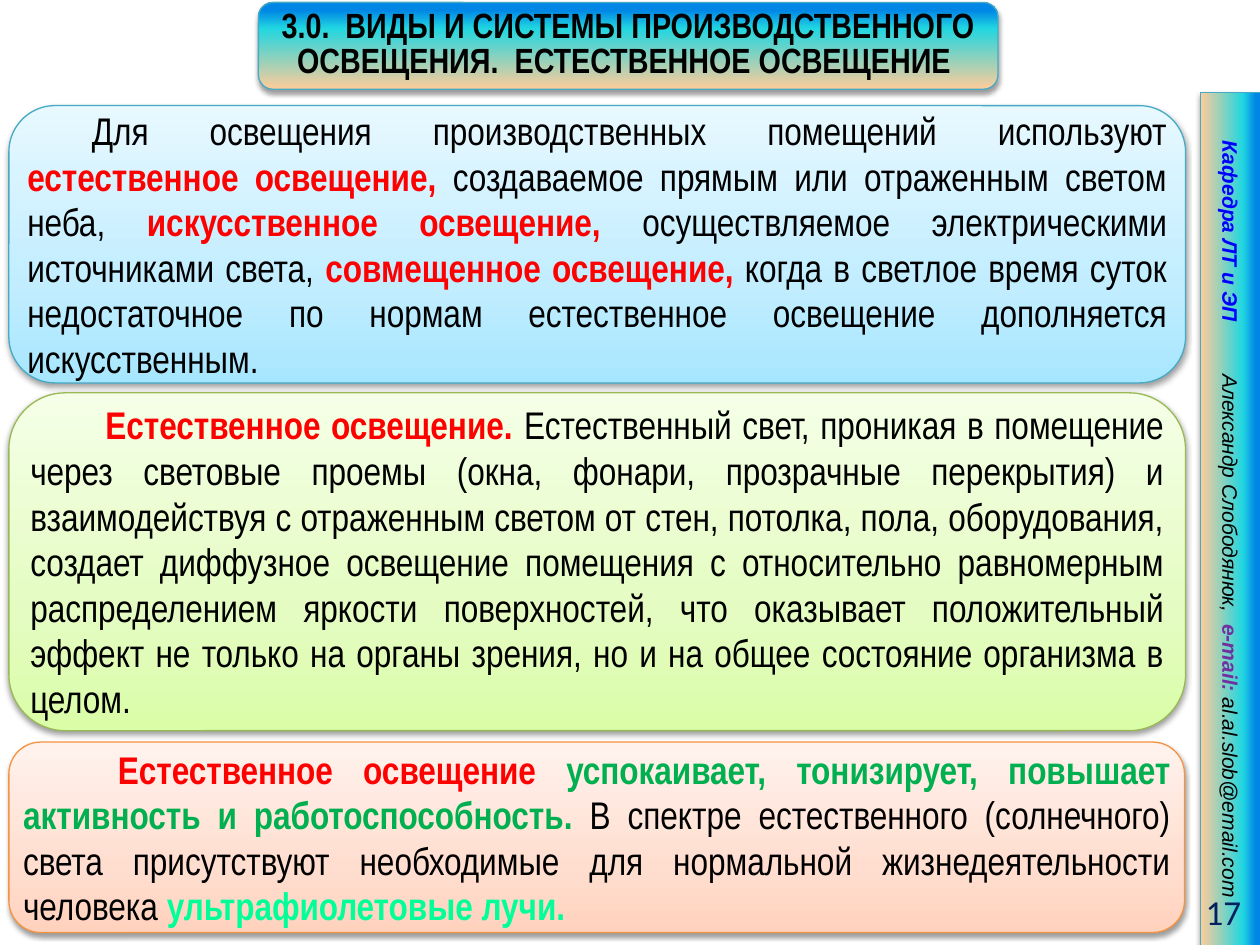
from lxml.etree import SubElement
from pptx import Presentation
from pptx.dml.color import RGBColor
from pptx.enum.shapes import MSO_SHAPE
from pptx.enum.text import MSO_ANCHOR, PP_ALIGN
from pptx.oxml.ns import qn
from pptx.util import Cm, Pt

COLORS = {
    "black": "000000", "red": "FF0000", "green": "00B050", "mint": "00FF99",
    "blue": "0000FF", "purple": "7030A0", "navy": "002060",
    "teal line": "46AAC5", "green line": "98B955", "orange line": "F69240",
}
# Gradient stops run from the bottom edge to the top edge.
GRADIENTS = {
    "banner": [(0, "FFCC99"), (70, "21D6E0"), (91, "0087E6")],
    "sky": [(0, "A7E6FF"), (35, "C1EDFF"), (100, "E7F8FF")],
    "lime": [(0, "DAFDA7"), (35, "E4FCC2"), (100, "F5FFE7")],
    "peach": [(0, "FFD2BD"), (35, "FFDED0"), (100, "FFF2ED")],
}
TITLE = {"name": "Arial Narrow", "size": Pt(20), "bold": True}
BODY = {"name": "Arial Narrow", "size": Pt(22), "bold": False}
STRONG = {**BODY, "bold": True}
SIDE = {"name": "Arial", "size": Pt(12), "italic": True, "bold": False}
SIDE_STRONG = {**SIDE, "bold": True}
NUMBER = {"name": "Calibri", "size": Pt(20)}

CENTERED = {"alignment": PP_ALIGN.CENTER}
TITLE_PARAGRAPH = {"alignment": PP_ALIGN.CENTER, "line_spacing": Pt(20)}
BODY_PARAGRAPH = {"alignment": PP_ALIGN.JUSTIFY, "line_spacing": Pt(26)}
MARGINS = ("margin_left", "margin_top", "margin_right", "margin_bottom")


def apply_format(target, values):
    for name, value in values.items():
        setattr(target, name, value)


class SlideBuilder:
    def __init__(self, slide):
        self.slide = slide
        self.margin = Cm(0.1)
        self.indent = Cm(1.3)

    def add_runs(self, shape, runs, paragraph_format, tight=False, indent=False):
        """Fill a shape with (text, font format, colour[, letter spacing]) runs."""
        frame = shape.text_frame
        apply_format(frame, {"word_wrap": True, "vertical_anchor": MSO_ANCHOR.MIDDLE})
        if tight:
            apply_format(frame, dict.fromkeys(MARGINS, self.margin))
        paragraph = frame.paragraphs[0]
        apply_format(paragraph, paragraph_format)
        if indent:
            paragraph._p.get_or_add_pPr().set("indent", str(self.indent))
        for text, font_format, color, *spacing in runs:
            run = paragraph.add_run()
            run.text = text
            apply_format(run.font, font_format)
            run.font.color.rgb = RGBColor.from_string(COLORS[color])
            if spacing:
                run._r.get_or_add_rPr().set("spc", str(spacing[0] * 100))

    def panel(self, kind, box, gradient, line):
        shape = self.slide.shapes.add_shape(kind, *map(Cm, box))
        shape.line.color.rgb = RGBColor.from_string(COLORS[line])
        shape.line.width = Pt(0.75)
        self.fill_gradient(shape, GRADIENTS[gradient])
        self.add_shadow(shape)
        return shape

    def fill_gradient(self, shape, stops):
        shape.fill.gradient()
        shape.fill.gradient_angle = 90
        stop_list = shape._element.spPr.find(".//" + qn("a:gsLst"))
        for old_stop in list(stop_list):
            stop_list.remove(old_stop)
        for percent, color in stops:
            stop = SubElement(stop_list, qn("a:gs"), pos=str(percent * 1000))
            SubElement(stop, qn("a:srgbClr"), val=color)

    def add_shadow(self, shape):
        shape.shadow.inherit = False
        effects = shape._element.spPr.find(qn("a:effectLst"))
        shadow = SubElement(effects, qn("a:outerShdw"), blurRad=str(Pt(3.1)),
                            dist=str(Pt(1.6)), dir="5400000", rotWithShape="0")
        color = SubElement(shadow, qn("a:srgbClr"), val=COLORS["black"])
        SubElement(color, qn("a:alpha"), val="38000")

    def side_bar(self, box, runs):
        shape = self.panel(MSO_SHAPE.RECTANGLE, box, "banner", "teal line")
        shape.rotation = 90
        self.add_runs(shape, runs, CENTERED)

    def title(self, box, text):
        shape = self.panel(MSO_SHAPE.ROUNDED_RECTANGLE, box, "banner", "teal line")
        self.add_runs(shape, [(text, TITLE, "black")], TITLE_PARAGRAPH, tight=True)

    def text_panel(self, box, gradient, line, runs):
        shape = self.panel(MSO_SHAPE.ROUNDED_RECTANGLE, box, gradient, line)
        self.add_runs(shape, runs, BODY_PARAGRAPH, tight=True, indent=True)

    def page_number(self, box, text):
        shape = self.slide.shapes.add_textbox(*map(Cm, box))
        self.add_runs(shape, [(text, NUMBER, "navy")], {"alignment": PP_ALIGN.RIGHT})


def main():
    presentation = Presentation()
    apply_format(presentation, {"slide_width": Cm(25.4), "slide_height": Cm(19.05)})
    builder = SlideBuilder(presentation.slides.add_slide(presentation.slide_layouts[6]))

    builder.side_bar((16.21, 9.86, 17.2, 1.22), [
        ("Кафедра ЛТ и ЭП", SIDE_STRONG, "blue"),
        (" ", SIDE, "blue", 27),
        ("Александр Слободянюк,  ", SIDE, "black"),
        ("e-mail: ", SIDE_STRONG, "purple"),
        ("al.al.slob@email.com", SIDE, "black"),
    ])
    builder.page_number((22.5, 17.86, 2.77, 1.02), "17")
    builder.title((5.21, 0.05, 14.91, 1.75),
                  "3.0.  ВИДЫ И СИСТЕМЫ ПРОИЗВОДСТВЕННОГО ОСВЕЩЕНИЯ.  "
                  "ЕСТЕСТВЕННОЕ ОСВЕЩЕНИЕ ")
    builder.text_panel((0.18, 2.13, 23.72, 5.59), "sky", "teal line", [
        ("Для освещения производственных помещений используют ", BODY, "black"),
        ("естественное освещение, ", STRONG, "red"),
        ("создаваемое прямым или отраженным светом неба, ", BODY, "black"),
        ("искусственное освещение, ", STRONG, "red"),
        ("осуществляемое электрическими источниками света, ", BODY, "black"),
        ("совмещенное освещение, ", STRONG, "red"),
        ("когда в светлое время суток недостаточное по нормам естественное "
         "освещение дополняется искусственным. ", BODY, "black"),
    ])
    builder.text_panel((0.18, 7.92, 23.72, 6.81), "lime", "green line", [
        (" ", BODY, "black"),
        ("Естественное освещение.", STRONG, "red"),
        (" ", {**BODY, "size": Pt(24)}, "black"),
        ("Естественный свет, проникая в помещение через световые проемы (окна, "
         "фонари, прозрачные перекрытия) и взаимодействуя с отраженным светом от "
         "стен, потолка, пола, оборудования, создает диффузное освещение помещения "
         "с относительно равномерным распределением яркости поверхностей, что "
         "оказывает положительный эффект не только на органы зрения, но и на общее "
         "состояние организма в целом. ", BODY, "black"),
    ])
    builder.text_panel((0.18, 14.96, 23.7, 3.84), "peach", "orange line", [
        (" ", BODY, "black"),
        ("Естественное освещение ", STRONG, "red"),
        ("успокаивает, тонизирует, повышает активность и работоспособность. ",
         STRONG, "green"),
        ("В спектре естественного (солнечного) света присутствуют необходимые для "
         "нормальной жизнедеятельности человека ", BODY, "black"),
        ("ультрафиолетовые лучи.", STRONG, "mint"),
    ])
    presentation.save("out.pptx")


if __name__ == "__main__":
    main()
